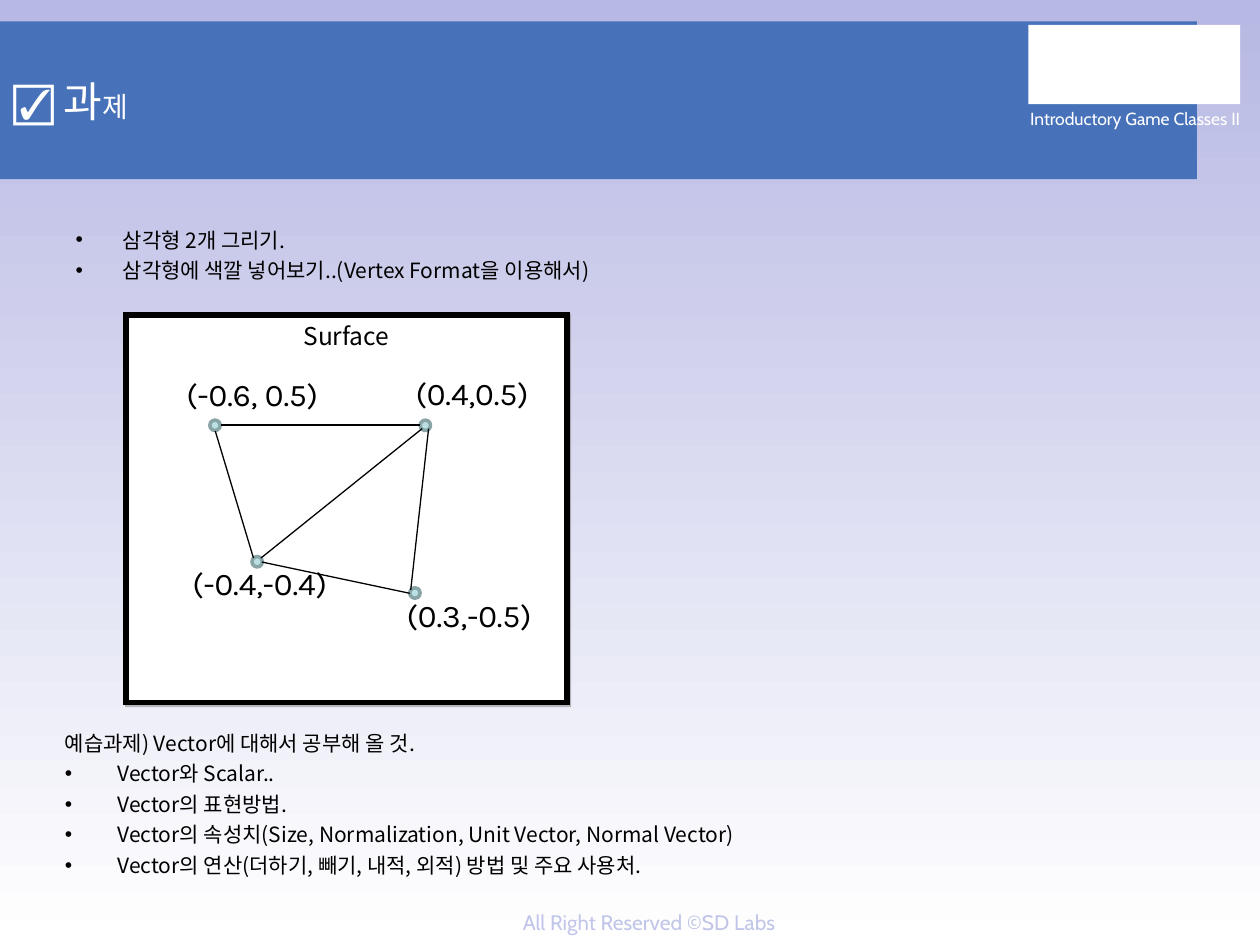
from lxml.etree import SubElement
from pptx import Presentation
from pptx.dml.color import RGBColor
from pptx.enum.shapes import MSO_CONNECTOR, MSO_SHAPE
from pptx.enum.text import MSO_ANCHOR, MSO_AUTO_SIZE, PP_ALIGN
from pptx.oxml import parse_xml
from pptx.oxml.ns import nsdecls, qn
from pptx.util import Cm, Pt


class Theme:
    black = RGBColor.from_string("000000")
    white = RGBColor.from_string("FFFFFF")
    sky = RGBColor.from_string("B7B8E3")
    band = RGBColor.from_string("4772B9")
    foot = RGBColor.from_string("C1C6E9")
    dot = RGBColor.from_string("BBE0E3")
    ring = RGBColor.from_string("89A4A7")
    sans, round, label, mark = "Noto Sans CJK KR", "Cabin", "Karla", "Arial"
    title, point, sub, head, body, small = 24, 18, 16, 14, 12, 10


def style(par, size, face, color):
    """Set the font of a paragraph, for Latin and Korean alike."""
    font = par.font
    font.size, font.name = Pt(size), face
    font.color.rgb = color
    SubElement(par._p.pPr.find(qn("a:defRPr")), qn("a:ea"), typeface=face)


def note(left, top, wide, high, text, size, face, color):
    """Add a one-line text box that does not wrap."""
    box = slide.shapes.add_textbox(Cm(left), Cm(top), Cm(wide), Cm(high))
    frame = box.text_frame
    frame.word_wrap = False
    frame.auto_size = MSO_AUTO_SIZE.SHAPE_TO_FIT_TEXT
    frame.text = text
    style(frame.paragraphs[0], size, face, color)
    return frame


deck = Presentation()
deck.slide_width, deck.slide_height = Cm(25.4), Cm(19.05)
slide = deck.slides.add_slide(deck.slide_layouts[1])
shapes = slide.shapes

# Background, fading downwards
fill = slide.background.fill
fill.gradient()
fill.gradient_angle = 270
for stop, place, color in zip(fill.gradient_stops, (0, 1), (Theme.sky, Theme.white)):
    stop.position, stop.color.rgb = place, color

# Title band
title = shapes.title
title.left, title.top, title.width, title.height = Cm(0), Cm(0.43), Cm(24.13), Cm(3.18)
title.fill.solid()
title.fill.fore_color.rgb = Theme.band
frame = title.text_frame
frame.auto_size = MSO_AUTO_SIZE.NONE
frame.vertical_anchor = MSO_ANCHOR.MIDDLE
par = frame.paragraphs[0]
par.alignment = PP_ALIGN.LEFT
style(par, Theme.title, Theme.sans, Theme.white)
for text, size, face in (("☑ ", Theme.title, Theme.mark), ("과", Theme.title, Theme.sans),
                         ("제", Theme.sub, Theme.sans)):
    run = par.add_run()
    run.text = text
    run.font.size, run.font.name = Pt(size), face

# Task list and study list
tasks = slide.placeholders[1]
tasks.left, tasks.top, tasks.width, tasks.height = Cm(1.27), Cm(4.45), Cm(22.86), Cm(1.47)
study = shapes.add_textbox(Cm(1.06), Cm(14.6), Cm(22.86), Cm(3.81))
lists = (
    (tasks, 0.95, None, ["삼각형 2개 그리기.", "삼각형에 색깔 넣어보기..(Vertex Format을 이용해서)"]),
    (study, 1.06, "예습과제) Vector에 대해서 공부해 올 것.", [
        "Vector와 Scalar..",
        "Vector의 표현방법.",
        "Vector의 속성치(Size, Normalization, Unit Vector, Normal Vector)",
        "Vector의 연산(더하기, 빼기, 내적, 외적) 방법 및 주요 사용처.",
    ]),
)
for box, indent, lead, items in lists:
    frame = box.text_frame
    frame.word_wrap = True
    frame.auto_size = MSO_AUTO_SIZE.NONE
    lines = [lead] + items if lead else items
    for i, text in enumerate(lines):
        par = frame.paragraphs[0] if i == 0 else frame.add_paragraph()
        par.text = text
        par.space_before = Pt(3 if i else 0)
        if text != lead:
            prop = par._p.get_or_add_pPr()
            prop.set("marL", str(Cm(indent)))
            prop.set("indent", str(-Cm(indent)))
            SubElement(prop, qn("a:buFont"), typeface=Theme.mark)
            SubElement(prop, qn("a:buChar"), char="•")
        style(par, Theme.body, Theme.sans, Theme.black)

# Footer
note(10.29, 18.21, 6.12, 0.76, "All Right Reserved ©SD Labs", Theme.body, Theme.round, Theme.foot)

# Header block and course line
block = shapes.add_shape(MSO_SHAPE.RECTANGLE, Cm(20.73), Cm(0.5), Cm(4.27), Cm(1.6))
block.shadow.inherit = False
block.fill.solid()
block.fill.fore_color.rgb = Theme.white
block.line.fill.background()
frame = note(20.1, 2.05, 5.15, 0.68, "Introductory Game Classes II", Theme.small, Theme.round, Theme.white)
frame.paragraphs[0].alignment = PP_ALIGN.RIGHT

# Drawing surface
panel = shapes.add_shape(MSO_SHAPE.RECTANGLE, Cm(2.54), Cm(6.35), Cm(8.89), Cm(7.82))
panel.fill.solid()
panel.fill.fore_color.rgb = Theme.white
panel.line.color.rgb, panel.line.width = Theme.black, Pt(3)
prop = panel._element.spPr
SubElement(prop.find(qn("a:ln")), qn("a:miter"), lim="800000")
prop.append(parse_xml(
    f'<a:effectLst {nsdecls("a")}><a:outerShdw dist="{Pt(1.4)}" dir="2700000">'
    '<a:srgbClr val="808080"><a:alpha val="50000"/></a:srgbClr>'
    '</a:outerShdw></a:effectLst>'))
frame = panel.text_frame
frame.vertical_anchor = MSO_ANCHOR.TOP
frame.text = "Surface"
par = frame.paragraphs[0]
par.alignment = PP_ALIGN.CENTER
style(par, Theme.head, Theme.sans, Theme.black)

# Corner dots
for left, top in ((4.23, 8.47), (5.08, 11.22), (8.47, 8.47), (8.26, 11.85)):
    dot = shapes.add_shape(MSO_SHAPE.FLOWCHART_CONNECTOR, Cm(left), Cm(top), Cm(0.21), Cm(0.21))
    dot.shadow.inherit = False
    dot.fill.solid()
    dot.fill.fore_color.rgb = Theme.dot
    dot.line.color.rgb, dot.line.width = Theme.ring, Pt(2)

# Triangle edges
for edge in ((4.45, 8.57, 8.47, 8.57), (8.51, 8.64, 5.26, 11.25), (5.11, 11.25, 4.34, 8.69),
             (8.64, 8.64, 8.28, 11.89), (5.28, 11.33, 8.26, 11.96)):
    line = shapes.add_connector(MSO_CONNECTOR.STRAIGHT, *map(Cm, edge))
    line.line.color.rgb, line.line.width = Theme.black, Pt(0.75)
    SubElement(line._element.spPr, qn("a:effectLst"))

# Corner labels
for left, top, wide, text in ((3.51, 7.44, 3.23, "(-0.6, 0.5)"), (8.13, 7.42, 2.84, "(0.4,0.5)"),
                              (3.63, 11.25, 3.25, "(-0.4,-0.4)"), (7.95, 11.89, 3.05, "(0.3,-0.5)")):
    note(left, top, wide, 1.02, text, Theme.point, Theme.label, Theme.black)

deck.save("out.pptx")
